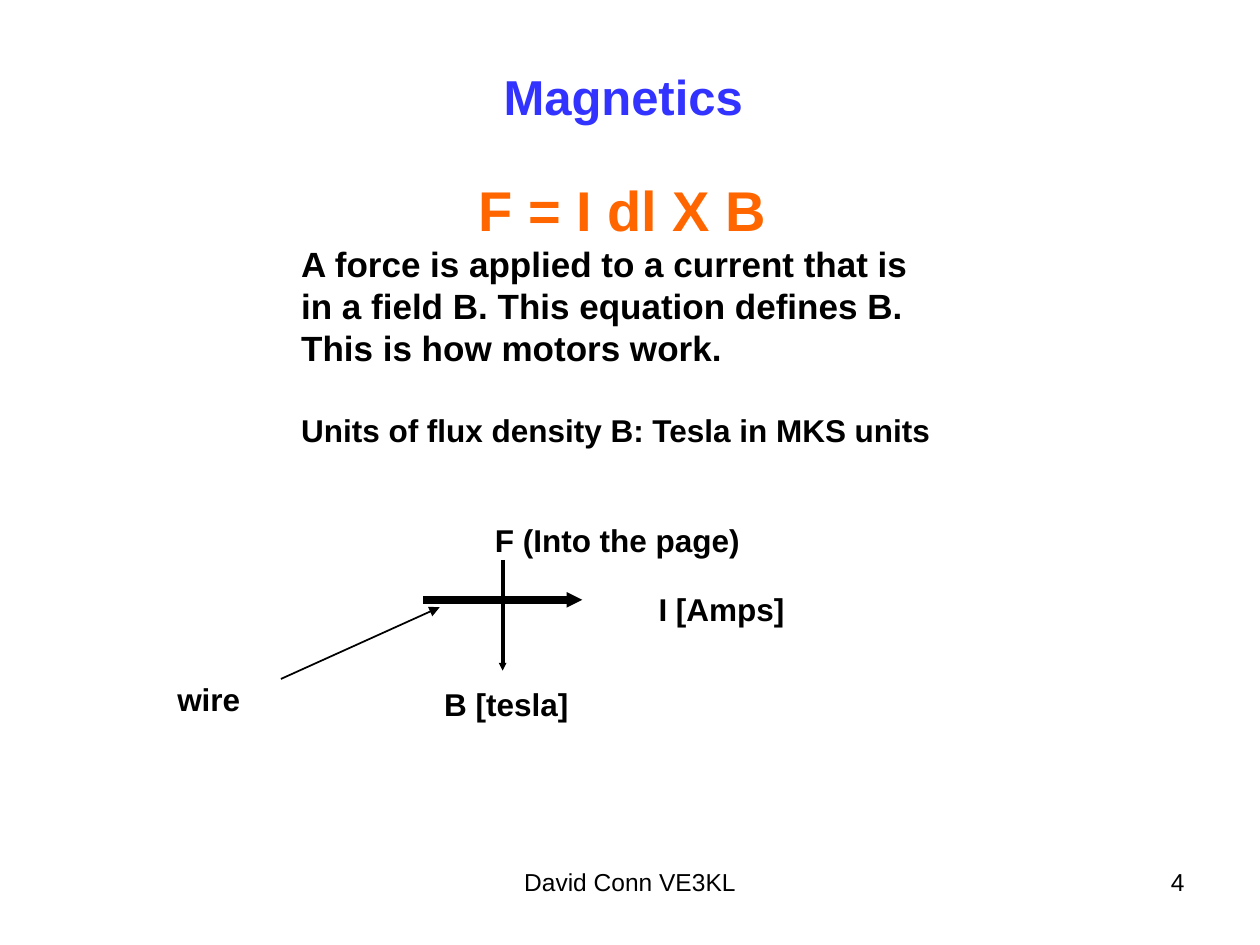
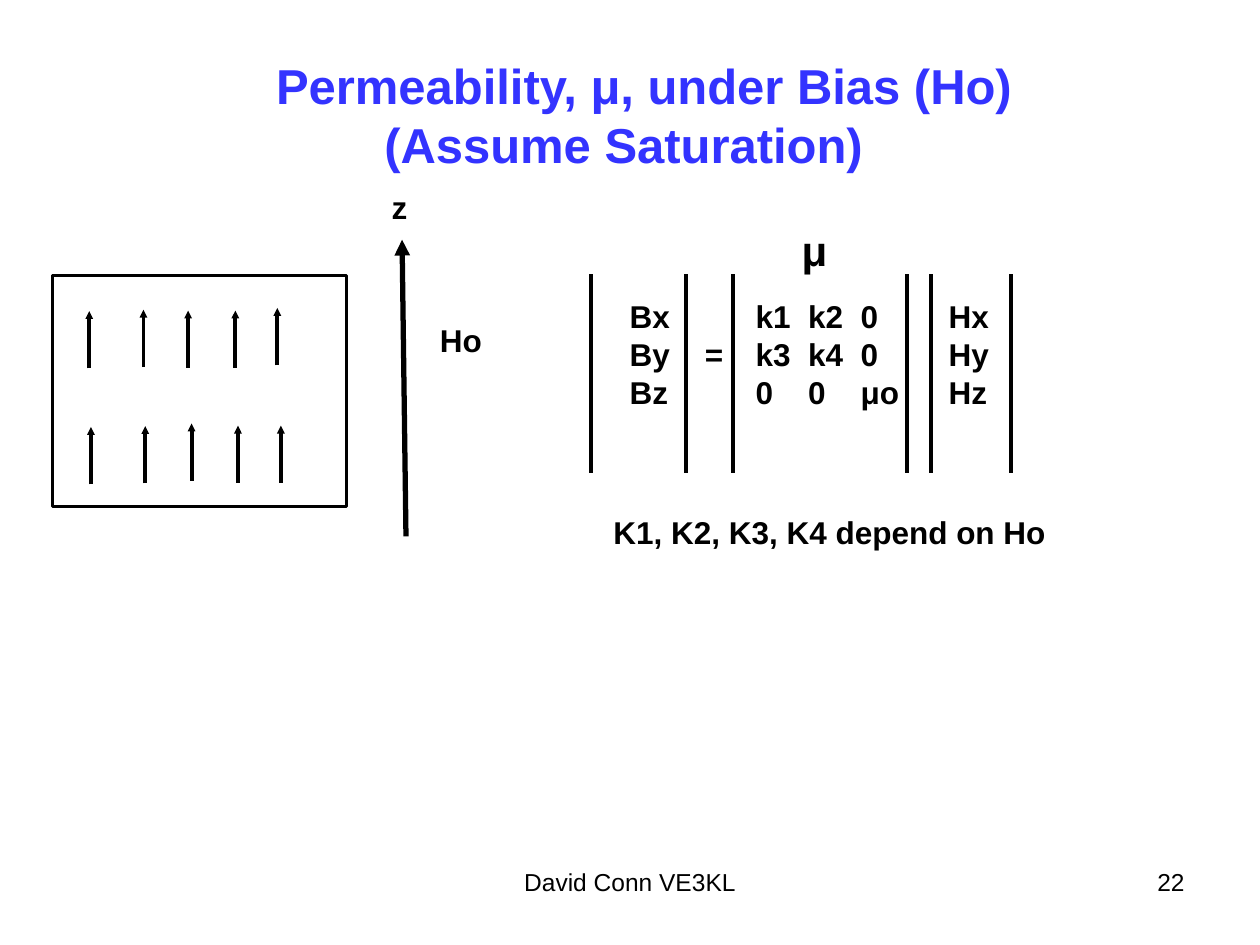
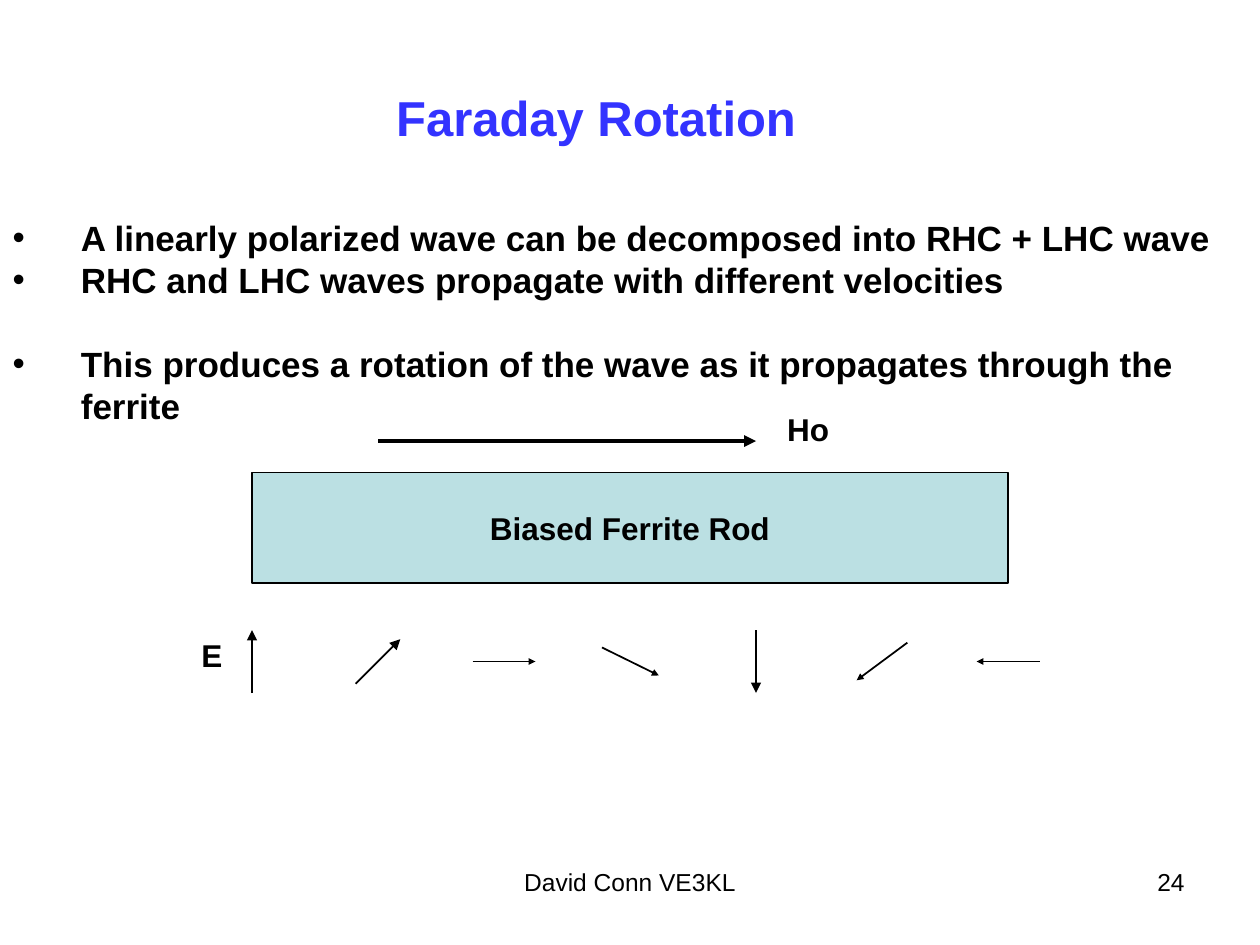
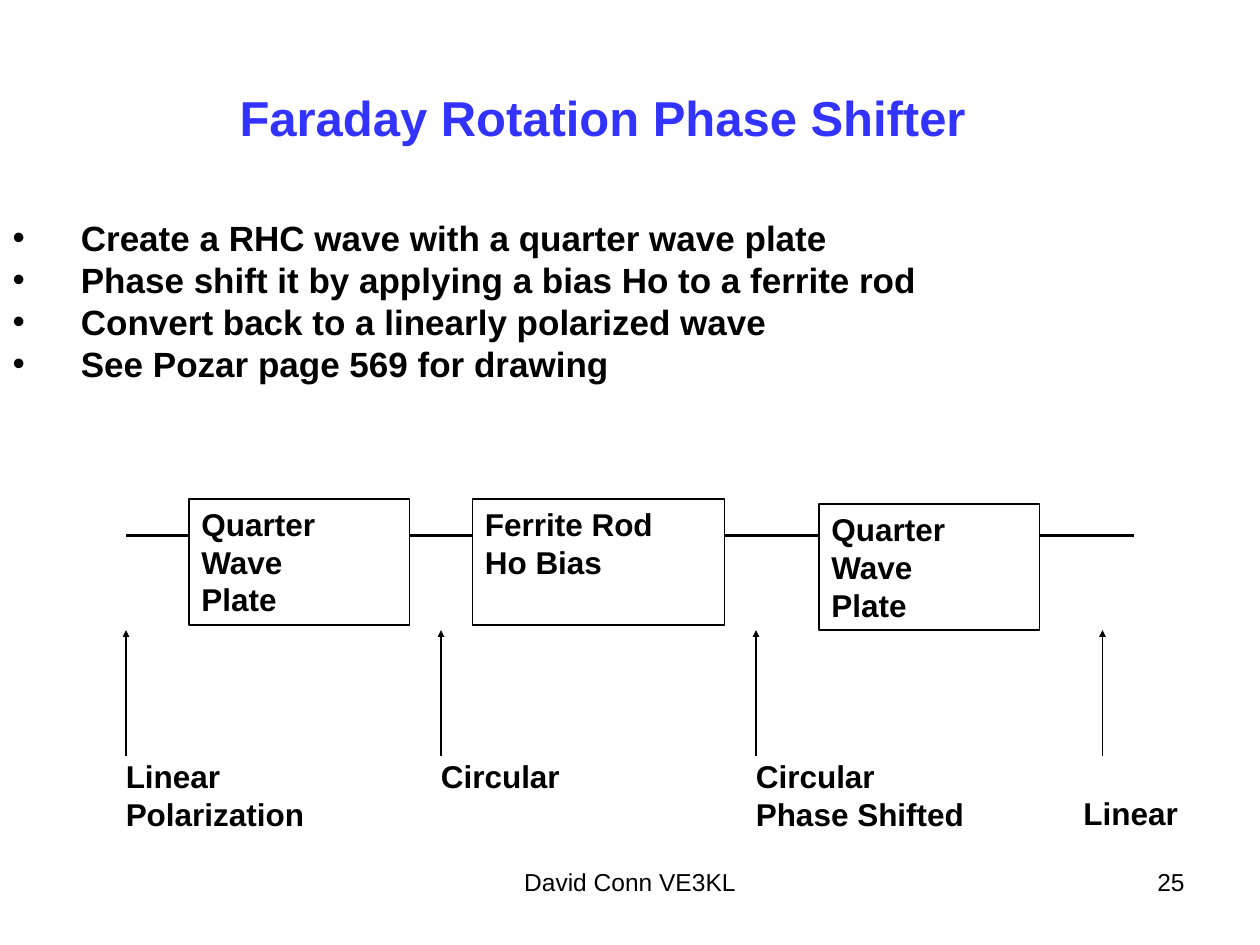
from dataclasses import dataclass
from typing import Any, Optional

from lxml import etree
from pptx import Presentation
from pptx.dml.color import RGBColor
from pptx.enum.shapes import MSO_CONNECTOR, MSO_SHAPE
from pptx.enum.text import MSO_ANCHOR, MSO_AUTO_SIZE, PP_ALIGN
from pptx.oxml.ns import qn
from pptx.util import Pt

LEFT, CENTER, RIGHT = PP_ALIGN.LEFT, PP_ALIGN.CENTER, PP_ALIGN.RIGHT
TOP, MIDDLE = MSO_ANCHOR.TOP, MSO_ANCHOR.MIDDLE
NO_AUTOSIZE = MSO_AUTO_SIZE.NONE
RECTANGLE = MSO_SHAPE.RECTANGLE
STRAIGHT = MSO_CONNECTOR.STRAIGHT

FONT = "Arial"
BLACK, BLUE, ORANGE, TEAL = "000000", "3333FF", "FF6600", "BBE0E3"
THIN, THICK = 1, 2.25
SMALL, MEDIUM = "sm", "med"
LINE_HEIGHT = 1.2
TITLE_AND_BODY, TITLE_ONLY = 1, 5
FOOTER = "David Conn VE3KL"
BULLET_INDENT = 39


@dataclass
class Line:
    text: str
    size: float = 18
    bold: bool = True
    color: str = BLACK
    align: Any = LEFT
    before: float = 0
    left: float = 0
    hanging: float = 0


@dataclass
class Box:
    left: float
    top: float
    width: float
    height: float
    anchor: Any = TOP
    wrap: bool = True
    inset_top: float = 3.6
    inset_right: float = 7.2
    inset_bottom: float = 3.6


@dataclass
class Stroke:
    x1: float
    y1: float
    x2: float
    y2: float
    width: float = THIN
    head: Optional[str] = MEDIUM


TITLE_BOX = (36, 21.6, 648, 90)
BULLET_BOX = Box(0, 120, 720, 127.5)


def color(value: str) -> RGBColor:
    return RGBColor.from_string(value)


def apply_format(target: Any, values: dict[str, Any]) -> None:
    for name, value in values.items():
        setattr(target, name, value)


def write_line(paragraph: Any, line: Line) -> None:
    properties = paragraph._p.get_or_add_pPr()
    properties.set("marL", str(Pt(line.left)))
    properties.set("indent", str(Pt(-line.hanging)))
    if not line.hanging:
        etree.SubElement(properties, qn("a:buNone"))
    apply_format(paragraph, {
        "alignment": line.align,
        "line_spacing": Pt(LINE_HEIGHT * line.size),
        "space_before": Pt(line.before),
        "space_after": Pt(0),
    })
    run = paragraph.add_run()
    run.text = line.text
    apply_format(run.font, {"name": FONT, "size": Pt(line.size), "bold": line.bold})
    run.font.color.rgb = color(line.color)


def fill_text(shape: Any, box: Box, lines: list[Line]) -> None:
    apply_format(shape, {
        "left": Pt(box.left), "top": Pt(box.top),
        "width": Pt(box.width), "height": Pt(box.height),
    })
    frame = shape.text_frame
    apply_format(frame, {
        "auto_size": NO_AUTOSIZE, "word_wrap": box.wrap, "vertical_anchor": box.anchor,
        "margin_left": Pt(7.2), "margin_right": Pt(box.inset_right),
        "margin_top": Pt(box.inset_top), "margin_bottom": Pt(box.inset_bottom),
    })
    for index, line in enumerate(lines):
        paragraph = frame.add_paragraph() if index else frame.paragraphs[0]
        write_line(paragraph, line)


def add_text(slide: Any, box: Box, lines: list[Line]) -> None:
    shape = slide.shapes.add_textbox(0, 0, Pt(box.width), Pt(box.height))
    fill_text(shape, box, lines)


def add_label(slide: Any, left: float, top: float, width: float,
              *texts: str, size: float = 18, wrap: bool = False) -> None:
    height = len(texts) * LINE_HEIGHT * size + 7.2
    box = Box(left, top, width, height, wrap=wrap)
    add_text(slide, box, [Line(text, size) for text in texts])


def add_rectangle(slide: Any, box: Box, lines: list[Line],
                  fill: Optional[str] = None, width: float = THIN) -> None:
    shape = slide.shapes.add_shape(RECTANGLE, 0, 0, Pt(box.width), Pt(box.height))
    shape.shadow.inherit = False
    if fill:
        shape.fill.solid()
        shape.fill.fore_color.rgb = color(fill)
    else:
        shape.fill.background()
    shape.line.color.rgb = color(BLACK)
    shape.line.width = Pt(width)
    fill_text(shape, box, lines)


def add_stroke(slide: Any, stroke: Stroke) -> None:
    points = (Pt(value) for value in (stroke.x1, stroke.y1, stroke.x2, stroke.y2))
    connector = slide.shapes.add_connector(STRAIGHT, *points)
    connector.line.color.rgb = color(BLACK)
    connector.line.width = Pt(stroke.width)
    properties = connector._element.spPr
    if stroke.head:
        etree.SubElement(properties.find(qn("a:ln")), qn("a:tailEnd"),
                         type="triangle", w=stroke.head, len=stroke.head)
    etree.SubElement(properties, qn("a:effectLst"))


def add_strokes(slide: Any, strokes: list[Stroke]) -> None:
    for stroke in strokes:
        add_stroke(slide, stroke)


def title_line(text: str, left: float = 0) -> Line:
    return Line(text, 28, color=BLUE, align=CENTER, left=left)


def bullet(text: str, before: float = 0) -> Line:
    return Line(text, 20, before=before, left=BULLET_INDENT, hanging=BULLET_INDENT)


def start_slide(presentation: Any, layout: int, number: int,
                title_box: Box, title: list[Line]) -> Any:
    slide = presentation.slides.add_slide(presentation.slide_layouts[layout])
    fill_text(slide.shapes.title, title_box, title)
    add_text(slide, Box(246, 491.75, 228, 37.5),
             [Line(FOOTER, 14, bold=False, align=CENTER)])
    add_text(slide, Box(516, 491.75, 168, 37.5),
             [Line(str(number), 14, bold=False, align=RIGHT)])
    return slide


def build_magnetics(presentation: Any) -> None:
    title_box = Box(*TITLE_BOX, MIDDLE, inset_right=15, inset_bottom=27)
    slide = start_slide(presentation, TITLE_AND_BODY, 4, title_box,
                        [title_line("Magnetics")])
    fill_text(slide.placeholders[1], Box(164.9, 75, 381.6, 185, inset_top=25.2), [
        Line("F = I dl X B", 32, color=ORANGE, align=CENTER),
        Line("A force is applied to a current that is in a field B. "
             "This equation defines B. This is how motors work.", 20),
        Line("Units of flux density B: Tesla in MKS units", before=24),
    ])
    add_strokes(slide, [
        Stroke(242, 342.75, 332.75, 342.75, 4.5, SMALL),
        Stroke(287.25, 320, 287.25, 383.25, THICK, SMALL),
        Stroke(160.5, 388, 251.25, 347),
    ])
    add_label(slide, 369.25, 333.5, 86.4, "I [Amps]")
    add_label(slide, 246.75, 388, 85, "B [tesla]")
    add_label(slide, 275.75, 294.25, 154, "F (Into the page)")
    add_label(slide, 94.25, 385.25, 50.4, "wire")


def build_permeability(presentation: Any) -> None:
    second_line_shift = 23.4
    title_box = Box(44, 20.5, 648, 90, MIDDLE, inset_right=7.2 + second_line_shift)
    slide = start_slide(presentation, TITLE_ONLY, 22, title_box, [
        title_line("Permeability, μ, under Bias (Ho)", second_line_shift),
        title_line("(Assume Saturation)"),
    ])
    add_rectangle(slide, Box(30, 157.5, 168, 132), [], width=2)
    dipole_length = 32.75
    dipole_rows = [
        [(51, 177.75), (82, 177), (107.5, 177.5), (134.5, 177.5), (158.5, 176)],
        [(52, 244), (83, 243.5), (109.5, 242), (136, 243.25), (160.5, 243.25)],
    ]
    add_strokes(slide, [Stroke(x, y + dipole_length, x, y, THICK, SMALL)
                        for row in dipole_rows for x, y in row])
    add_stroke(slide, Stroke(232, 306.5, 229.75, 137, 3))
    add_strokes(slide, [Stroke(x, 156.75, x, 270, THICK, None)
                        for x in (337.5, 391.75, 419, 518.5, 532.25, 577.75)])
    matrix_top, row_height, column_width = 166.25, 21.6, 50
    matrix_columns = [
        (352.75, ("Bx", "By", "Bz")),
        (424.75, ("k1", "k3", "0")),
        (454.75, ("k2", "k4", "0")),
        (484.75, ("0", "0", "μo")),
        (535, ("Hx", "Hy", "Hz")),
    ]
    for left, entries in matrix_columns:
        add_label(slide, left, matrix_top, column_width, *entries, wrap=True)
    add_label(slide, 395.75, matrix_top + row_height, column_width, "=", wrap=True)
    add_label(slide, 244.25, 180, 38.25, "Ho")
    add_label(slide, 343.5, 289.5, 261.25, "K1, K2, K3, K4 depend on Ho")
    add_label(slide, 451, 124.5, 28.75, "μ", size=24)
    add_label(slide, 216.75, 103.75, 23, "z")


def build_rotation(presentation: Any) -> None:
    title_box = Box(*TITLE_BOX, MIDDLE, inset_right=46)
    slide = start_slide(presentation, TITLE_AND_BODY, 24, title_box,
                        [title_line("Faraday Rotation")])
    fill_text(slide.placeholders[1], BULLET_BOX, [
        bullet("A linearly polarized wave can be decomposed into RHC + LHC wave"),
        bullet("RHC and LHC waves propagate with different velocities"),
        bullet("This produces a rotation of the wave as it propagates "
               "through the ferrite", before=24),
    ])
    add_rectangle(slide, Box(144, 270, 432, 63, MIDDLE, wrap=False),
                  [Line("Biased Ferrite Rod", align=CENTER)], TEAL)
    add_strokes(slide, [
        Stroke(144, 396, 144, 360),
        Stroke(203.25, 390.75, 228.75, 365.25),
        Stroke(270, 378, 306, 378, head=SMALL),
        Stroke(344, 370, 376.5, 386, head=SMALL),
        Stroke(432, 360, 432, 396),
        Stroke(518.5, 367.25, 489.5, 388.75, head=SMALL),
        Stroke(594, 378, 558, 378, head=SMALL),
        Stroke(216, 252, 432, 252, THICK),
    ])
    add_label(slide, 442.75, 231, 38.25, "Ho")
    add_label(slide, 108, 360, 26, "E")


def build_phase_shifter(presentation: Any) -> None:
    title_box = Box(*TITLE_BOX, MIDDLE, inset_right=38.5)
    slide = start_slide(presentation, TITLE_AND_BODY, 25, title_box,
                        [title_line("Faraday Rotation Phase Shifter")])
    fill_text(slide.placeholders[1], BULLET_BOX, [bullet(text) for text in (
        "Create a RHC wave with a quarter wave plate",
        "Phase shift it by applying a bias Ho to a ferrite rod",
        "Convert back to a linearly polarized wave",
        "See Pozar page 569 for drawing",
    )])
    plate = ("Quarter Wave", "Plate")
    stages = [
        (108, 285, 126, plate),
        (270, 285, 144, ("Ferrite Rod", "Ho Bias")),
        (468, 288, 126, plate),
    ]
    guide_start, guide_end, guide_y = 72, 648, 306
    for left, top, width, texts in stages:
        add_rectangle(slide, Box(left, top, width, 72), [Line(text) for text in texts])
        add_stroke(slide, Stroke(guide_start, guide_y, left, guide_y, THICK, None))
        guide_start = left + width
    add_stroke(slide, Stroke(guide_start, guide_y, guide_end, guide_y, THICK, None))
    add_strokes(slide, [Stroke(x, 432, x, 360, head=SMALL) for x in (72, 252, 432, 630)])
    add_label(slide, 64.8, 429, 116, "Linear", "Polarization")
    add_label(slide, 244.8, 429, 82, "Circular")
    add_label(slide, 424.8, 429, 133.25, "Circular", "Phase Shifted")
    add_label(slide, 612, 450, 68.5, "Linear")


def main() -> None:
    presentation = Presentation()
    apply_format(presentation, {"slide_width": Pt(720), "slide_height": Pt(540)})
    for build in (build_magnetics, build_permeability, build_rotation, build_phase_shifter):
        build(presentation)
    presentation.save("out.pptx")


if __name__ == "__main__":
    main()
